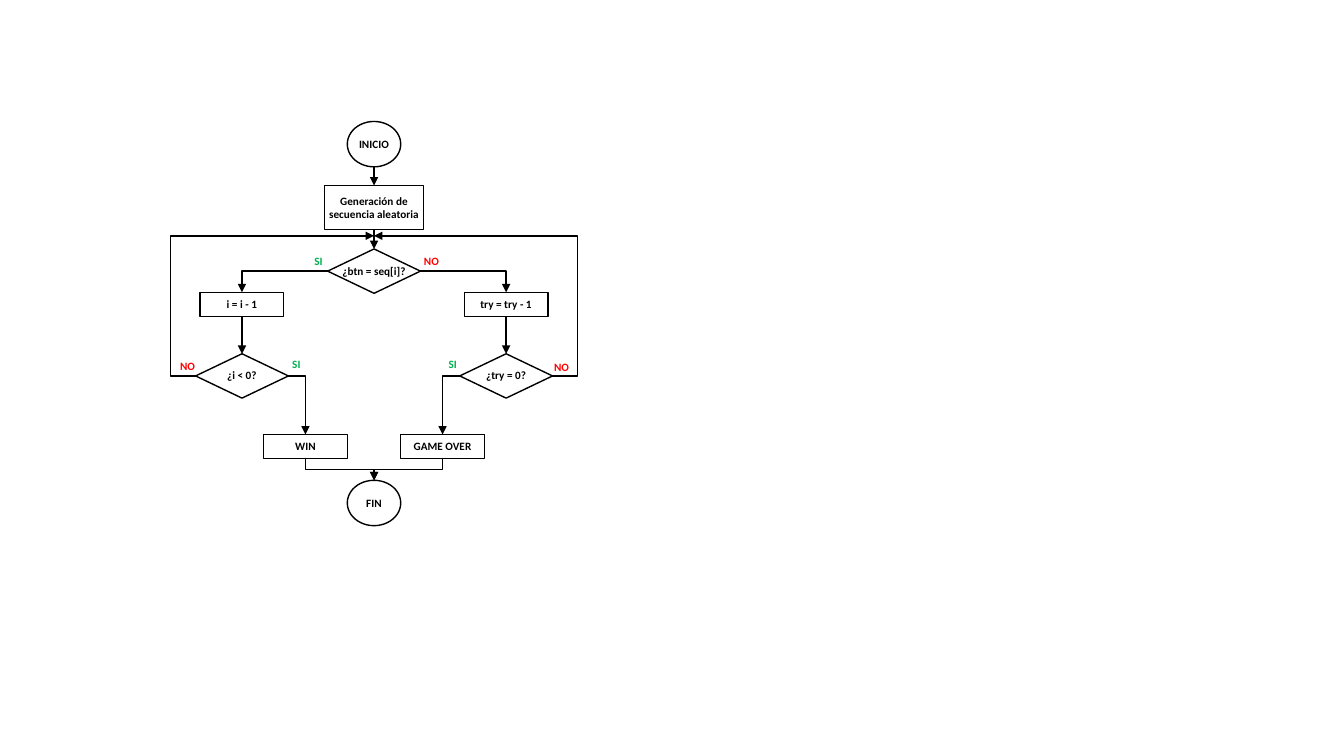
from lxml import etree
from pptx import Presentation
from pptx.dml.color import RGBColor
from pptx.enum.shapes import MSO_CONNECTOR, MSO_SHAPE
from pptx.enum.text import MSO_AUTO_SIZE, PP_ALIGN
from pptx.oxml.ns import qn
from pptx.util import Inches, Pt

OVAL, RECT, DIAMOND = MSO_SHAPE.OVAL, MSO_SHAPE.RECTANGLE, MSO_SHAPE.DIAMOND
STRAIGHT, ELBOW = MSO_CONNECTOR.STRAIGHT, MSO_CONNECTOR.ELBOW
CENTER, FIT = PP_ALIGN.CENTER, MSO_AUTO_SIZE.SHAPE_TO_FIT_TEXT

THEME = {"font": "Calibri", "size": 8, "line": 1,
         "ink": "000000", "SI": "00B050", "NO": "FF0000"}

# Columns are offsets from the chart's axis; rows are heights of node centres.
AXIS = 3.71
FAR, NEAR, LOOP = 1.31, 0.68, 2.02
ROWS = {"start": 1.43, "make": 2.06, "join": 2.34, "test": 2.69,
        "step": 3.02, "check": 3.73, "result": 4.43, "end": 4.99}
KINDS = {"round": (OVAL, 0.53, 0.45), "block": (RECT, 0.98, 0.44),
         "choice": (DIAMOND, 0.92, 0.44), "task": (RECT, 0.83, 0.24)}

# name: kind, column, row, text
NODES = {
    "start": ("round", 0, "start", "INICIO"),
    "end": ("round", 0, "end", "FIN"),
    "make": ("block", 0, "make", "Generación de secuencia aleatoria"),
    "test": ("choice", 0, "test", "¿btn = seq[i]?"),
    "index": ("choice", -FAR, "check", "¿i < 0?"),
    "tries": ("choice", FAR, "check", "¿try = 0?"),
    "lose": ("task", FAR, "step", "try = try - 1"),
    "next": ("task", -FAR, "step", "i = i - 1"),
    "win": ("task", -NEAR, "result", "WIN"),
    "over": ("task", NEAR, "result", "GAME OVER"),
}
DOWN = [("start", "make"), ("make", "test"), ("lose", "tries"), ("next", "index")]
TURNS = [("test", "lose", 1), ("test", "next", -1),
         ("index", "win", 1), ("tries", "over", -1)]
MERGES = ["over", "win"]
LOOPS = [("index", -1), ("tries", 1)]

# text, centre x, centre y
ANSWERS = [("NO", 1.86, 3.64), ("NO", 4.28, 2.59), ("NO", 5.57, 3.65),
           ("SI", 2.94, 3.62), ("SI", 3.16, 2.59), ("SI", 4.49, 3.62)]
LABEL, ANSWER, ONE, TWO = 1.16, 0.37, 0.24, 0.37


def port(name, dx, dy):
    """Give the point on a node's edge in direction dx, dy."""
    kind, col, row, _ = NODES[name]
    _, wide, high = KINDS[kind]
    return AXIS + col + dx * wide / 2, ROWS[row] + dy * high / 2


def node(slide, name):
    """Draw the outline of one node."""
    shape, wide, high = KINDS[NODES[name][0]]
    x, y = port(name, -1, -1)
    box = slide.shapes.add_shape(shape, *map(Inches, (x, y, wide, high)))
    box.shadow.inherit = False
    box.fill.background()
    box.line.color.rgb = RGBColor.from_string(THEME["ink"])
    box.line.width = Pt(THEME["line"])


def label(slide, text, x, y, wide, high, color):
    """Write centred bold text around a point."""
    spot = (x - wide / 2, y - high / 2, wide, high)
    frame = slide.shapes.add_textbox(*map(Inches, spot)).text_frame
    frame.word_wrap = True
    frame.auto_size = FIT
    frame.text = text
    para = frame.paragraphs[0]
    para.alignment = CENTER
    font = para.runs[0].font
    font.name, font.size, font.bold = THEME["font"], Pt(THEME["size"]), True
    font.color.rgb = RGBColor.from_string(THEME[color])


def arrow(slide, start, end, kind=ELBOW):
    """Draw a connector with a triangle at its end."""
    link = slide.shapes.add_connector(kind, *map(Inches, (*start, *end)))
    link.line.color.rgb = RGBColor.from_string(THEME["ink"])
    link.line.width = Pt(THEME["line"])
    props = link._element.spPr
    etree.SubElement(props.find(qn("a:ln")), qn("a:tailEnd"), type="triangle")
    etree.SubElement(props, qn("a:effectLst"))
    return props


def turn(slide, start, end):
    """Draw an arrow that runs sideways, then down."""
    props = arrow(slide, start, end)
    props.find(qn("a:prstGeom")).set("prst", "bentConnector2")


def merge(slide, start, end):
    """Draw an arrow that runs down, across and down again."""
    (x1, y1), (x2, y2) = start, end
    x, y = (x1 + x2) / 2, (y1 + y2) / 2
    side = 1 if x1 > x2 else -1
    dx, dy = side * (y2 - y1) / 2, abs(x2 - x1) / 2
    props = arrow(slide, (x - dx, y - dy), (x + dx, y + dy))
    angle = 90 if side > 0 else 270
    props.find(qn("a:xfrm")).set("rot", str(angle * 60000))


def loop(slide, start, end, side):
    """Draw an arrow that runs outward, up and back to the axis."""
    props = arrow(slide, start, end)
    share = (AXIS + side * LOOP - start[0]) / (end[0] - start[0])
    geom = props.find(qn("a:prstGeom"))
    guides = geom.get_or_add_avLst()
    etree.SubElement(guides, qn("a:gd"), name="adj1",
                     fmla=f"val {round(share * 100000)}")


deck = Presentation()
deck.slide_width, deck.slide_height = Inches(13.33), Inches(7.5)
slide = deck.slides.add_slide(deck.slide_layouts[6])

for name in NODES:
    node(slide, name)
for top, low in DOWN:
    arrow(slide, port(top, 0, 1), port(low, 0, -1), STRAIGHT)
for top, low, side in TURNS:
    turn(slide, port(top, side, 0), port(low, 0, -1))
for name in MERGES:
    merge(slide, port(name, 0, 1), port("end", 0, -1))
for name, side in LOOPS:
    loop(slide, port(name, side, 0), (AXIS, ROWS["join"]), side)
for name, (kind, _, _, text) in NODES.items():
    high = TWO if kind == "block" else ONE
    label(slide, text, *port(name, 0, 0), LABEL, high, "ink")
for text, x, y in ANSWERS:
    label(slide, text, x, y, ANSWER, ONE, text)

deck.save("out.pptx")
